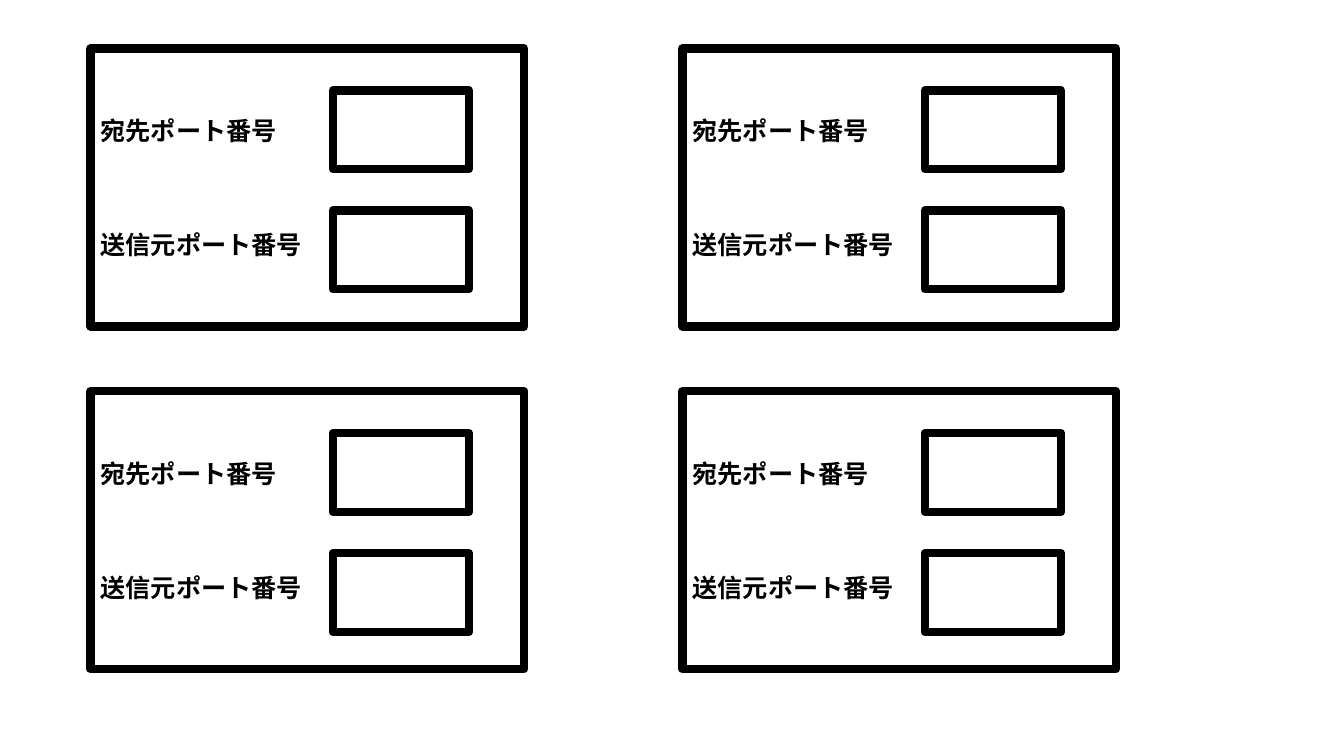
from dataclasses import dataclass
from itertools import product

from lxml.etree import SubElement
from pptx import Presentation
from pptx.dml.color import RGBColor
from pptx.enum.shapes import MSO_SHAPE
from pptx.enum.text import MSO_ANCHOR, PP_ALIGN
from pptx.oxml.ns import qn
from pptx.shapes.autoshape import Shape
from pptx.slide import Slide
from pptx.util import Pt


@dataclass(frozen=True)
class Theme:
    ink: RGBColor = RGBColor(0, 0, 0)
    font: str = "Noto Sans CJK JP"
    label_size: float = 18
    border: float = 6


@dataclass(frozen=True)
class Box:
    left: float
    top: float
    width: float
    height: float

    def moved(self, dx: float, dy: float) -> "Box":
        return Box(self.left + dx, self.top + dy, self.width, self.height)


THEME = Theme()
LABELS = ("宛先ポート番号", "送信元ポート番号")
PANEL = Box(64.8, 34.6, 309.6, 198.7)
FIELD = Box(237.8, 64.6, 97.2, 56.2)
COLUMN_PITCH = 422.8
ROW_PITCH = 244.8
FIELD_PITCH = 85.8
LABEL_GAP = 60.3


def add_frame(slide: Slide, box: Box) -> Shape:
    sp = slide.shapes.add_shape(
        MSO_SHAPE.RECTANGLE,
        Pt(box.left), Pt(box.top), Pt(box.width), Pt(box.height),
    )
    sp.shadow.inherit = False
    sp.fill.background()
    sp.line.color.rgb = THEME.ink
    sp.line.width = Pt(THEME.border)
    return sp


def add_labels(sp: Shape) -> None:
    tf = sp.text_frame
    tf.word_wrap = True
    tf.vertical_anchor = MSO_ANCHOR.MIDDLE
    for i, label in enumerate(LABELS):
        p = tf.add_paragraph() if i else tf.paragraphs[0]
        p.alignment = PP_ALIGN.LEFT
        p.space_before = Pt(LABEL_GAP if i else 0)
        r = p.add_run()
        r.text = label
        r.font.name = THEME.font
        r.font.size = Pt(THEME.label_size)
        r.font.bold = True
        r.font.color.rgb = THEME.ink
        SubElement(r.font._element, qn("a:ea"), typeface=THEME.font)


def add_port_panel(slide: Slide, dx: float, dy: float) -> None:
    add_labels(add_frame(slide, PANEL.moved(dx, dy)))
    for i in range(len(LABELS)):
        add_frame(slide, FIELD.moved(dx, dy + i * FIELD_PITCH))


def main() -> None:
    prs = Presentation()
    prs.slide_width, prs.slide_height = Pt(960), Pt(540)
    slide = prs.slides.add_slide(prs.slide_layouts[6])
    for column, row in product(range(2), repeat=2):
        add_port_panel(slide, column * COLUMN_PITCH, row * ROW_PITCH)
    prs.save("out.pptx")


if __name__ == "__main__":
    main()
